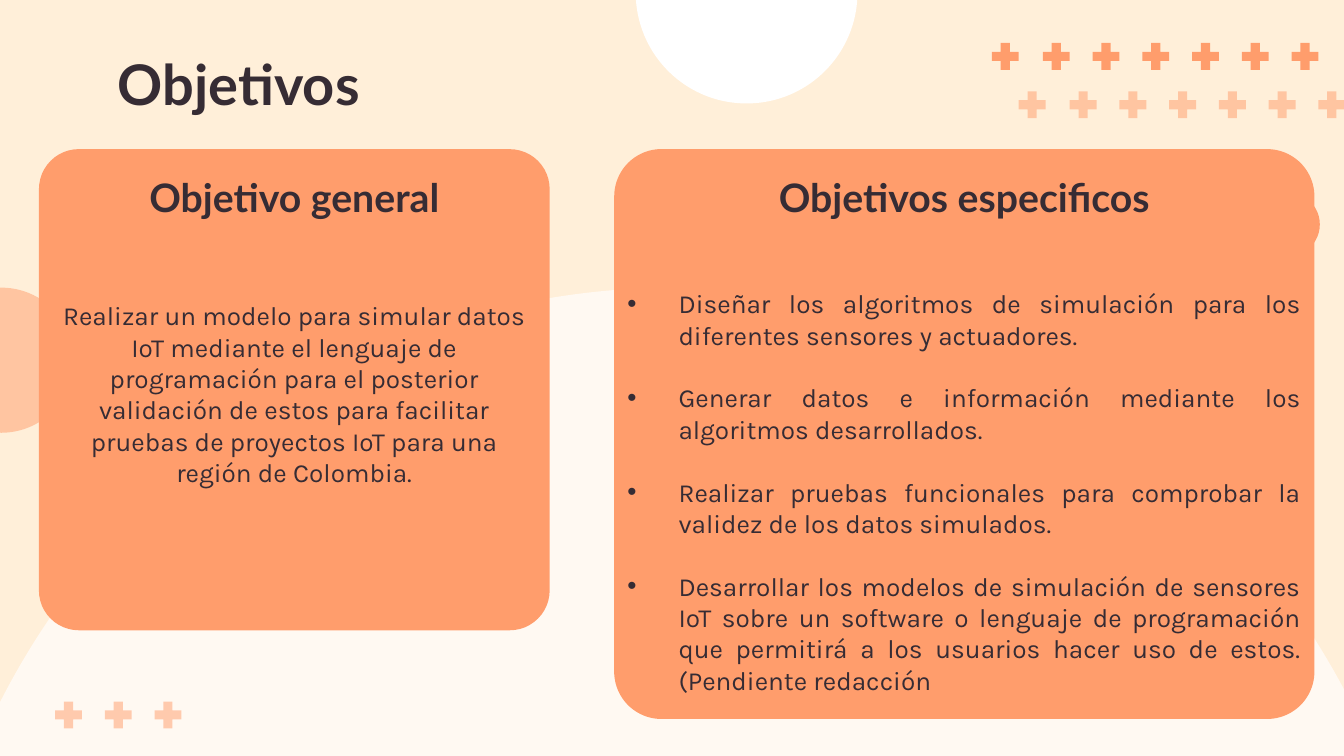
from lxml.etree import SubElement
from pptx import Presentation
from pptx.dml.color import RGBColor as RGB
from pptx.enum.shapes import MSO_SHAPE as Kind
from pptx.enum.text import MSO_ANCHOR as Anchor, PP_ALIGN as Align
from pptx.oxml.ns import qn
from pptx.util import Inches, Pt

CREAM = RGB(0xFF, 0xEF, 0xD9)
ORANGE = RGB(0xFF, 0x9D, 0x6C)
WHITE = RGB(0xFF, 0xFF, 0xFF)
DARK = RGB(0x36, 0x2C, 0x34)

TITLE = {"name": "Lato", "size": Pt(30), "bold": True}
HEAD = {"name": "Lato", "size": Pt(21), "bold": True}
BODY = {"name": "Karla", "size": Pt(14), "bold": False}

WIDE = Inches(10)
HIGH = WIDE * 9 // 16
SOFT = 51
STEP = 0.37
GOAL = (
    "Realizar un modelo para simular datos IoT mediante el lenguaje de "
    "programación para el posterior validación de estos para facilitar "
    "pruebas de proyectos IoT para una región de Colombia."
)
AIMS = [
    "Diseñar los algoritmos de simulación para los diferentes sensores y actuadores.",
    "Generar datos e información mediante los algoritmos desarrollados.",
    "Realizar pruebas funcionales para comprobar la validez de los datos simulados.",
    "Desarrollar los modelos de simulación de sensores IoT sobre un software o "
    "lenguaje de programación que permitirá a los usuarios hacer uso de estos. "
    "(Pendiente redacción",
]


class Deck:
    def __init__(self):
        self.prs = Presentation()
        self.prs.slide_width, self.prs.slide_height = WIDE, HIGH
        self.slide = self.prs.slides.add_slide(self.prs.slide_layouts[6])
        fill = self.slide.background.fill
        fill.solid()
        fill.fore_color.rgb = CREAM

    def shape(self, kind, box, color, alpha=100, adj=()):
        item = self.slide.shapes.add_shape(kind, *map(Inches, box))
        item.shadow.inherit = False
        item.line.fill.background()
        item.fill.solid()
        item.fill.fore_color.rgb = color
        if alpha < 100:
            tone = item.fill._xPr.find(qn("a:solidFill"))[0]
            SubElement(tone, qn("a:alpha"), val=str(alpha * 1000))
        for i, value in enumerate(adj):
            item.adjustments[i] = value
        return item

    def row(self, x, y, count, alpha=100):
        """Draw evenly spaced plus signs."""
        for i in range(count):
            box = (x + i * STEP, y, 0.2, 0.2)
            self.shape(Kind.CROSS, box, ORANGE, alpha, [0.33])

    def text(self, box, lines, style, align, bullet=False):
        frame = self.slide.shapes.add_textbox(*map(Inches, box)).text_frame
        look = {"word_wrap": True, "vertical_anchor": Anchor.TOP}
        for side in ("left", "right", "top", "bottom"):
            look["margin_" + side] = Inches(0.1)
        for key, value in look.items():
            setattr(frame, key, value)
        for i, line in enumerate(lines):
            para = frame.add_paragraph() if i else frame.paragraphs[0]
            para.alignment = align
            if i:
                para.space_before = Pt(16.8)
            if bullet:
                self.bullet(para)
            run = para.add_run()
            run.text = line
            run.font.color.rgb = DARK
            for key, value in style.items():
                setattr(run.font, key, value)

    def bullet(self, para):
        props = para._p.get_or_add_pPr()
        gap = Inches(0.38)
        props.set("marL", str(gap))
        props.set("indent", str(-gap))
        tone = SubElement(props, qn("a:buClr"))
        SubElement(tone, qn("a:srgbClr"), val=str(DARK))
        SubElement(props, qn("a:buFont"), typeface="Arial")
        SubElement(props, qn("a:buChar"), char="•")


def main():
    deck = Deck()
    for x, y, alpha in ((7.58, 0.68, SOFT), (7.38, 0.32, 100)):
        deck.row(x, y, 1, alpha)
        deck.row(x + 0.38, y, 6, alpha)
    hill = deck.shape(Kind.PIE, (-0.61, 2.14, 11.27, 11.27), WHITE, 66, [54, 162])
    hill.rotation = 90
    deck.row(0.41, 5.22, 3, SOFT)

    deck.shape(Kind.OVAL, (-0.53, 2.14, 1.08, 1.08), ORANGE, SOFT)
    deck.shape(Kind.OVAL, (9.34, 1.43, 0.48, 0.48), ORANGE)
    deck.shape(Kind.OVAL, (4.73, -0.88, 1.65, 1.65), WHITE)

    deck.text((0.78, 0.27, 8.44, 0.51), ["Objetivos"], TITLE, Align.LEFT)
    cards = (
        (4.57, 5.21, 4.24, "Objetivos especificos", 0.49, 2.04, 3.79, AIMS, Align.JUSTIFY, True),
        (0.29, 3.8, 3.58, "Objetivo general", 0.42, 2.13, 2.05, [GOAL], Align.CENTER, False),
    )
    for x, wide, high, head, tall, top, deep, lines, align, dots in cards:
        deck.shape(Kind.ROUNDED_RECTANGLE, (x, 1.11, wide, high), ORANGE, adj=[0.083])
        deck.text((x, 1.19, wide, tall), [head], HEAD, Align.CENTER)
        deck.text((x, top, wide, deep), lines, BODY, align, dots)
    deck.prs.save("out.pptx")


if __name__ == "__main__":
    main()
